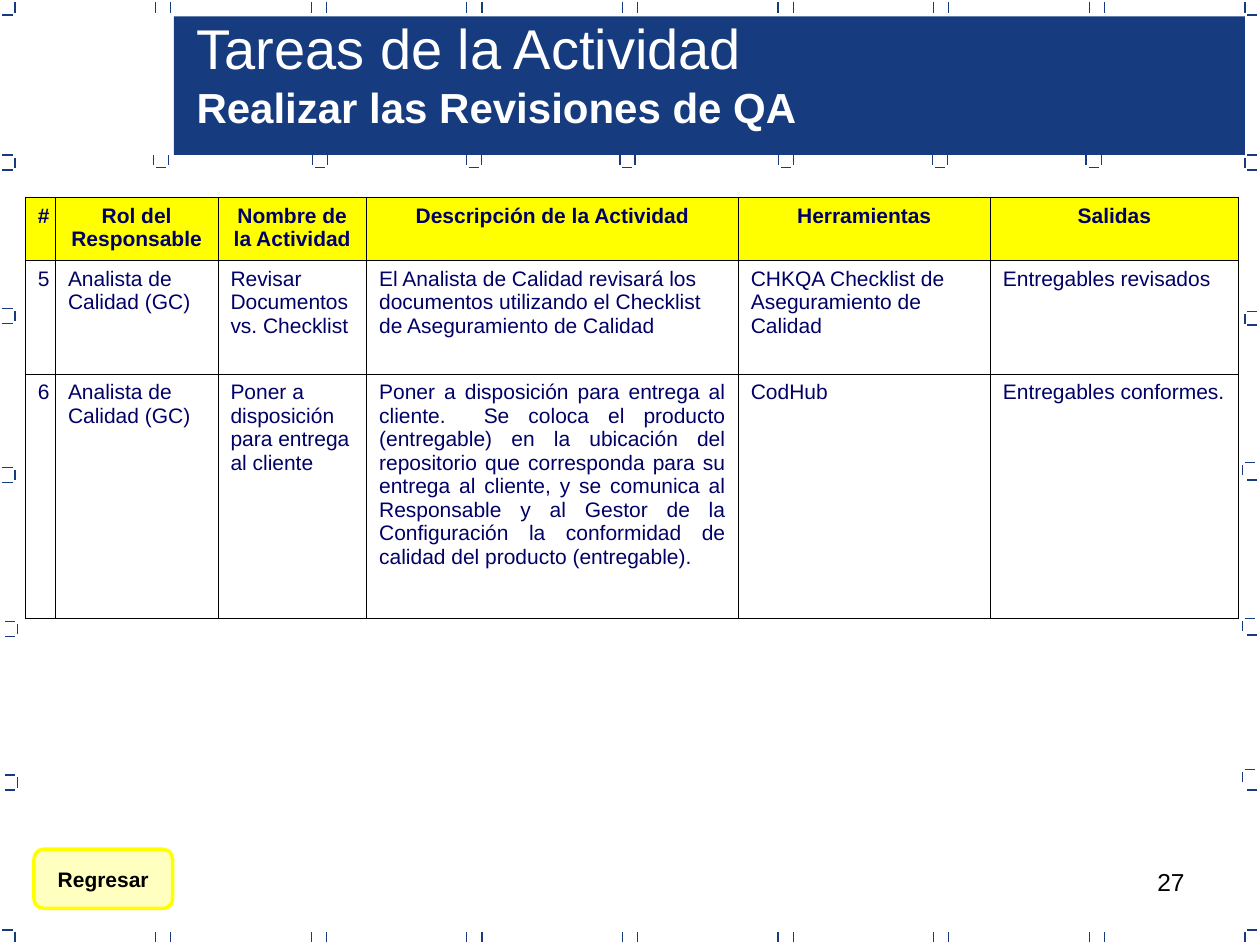
import pptx
import pptx.util
import pptx.dml.color
import pptx.enum.shapes
import pptx.enum.text
import pptx.oxml.ns
import pptx.oxml.xmlchemy

PX = 9144  # EMU per px, 100 px to the inch
FONT = "Arial"
COLORS = {"navy": "163B7F", "yellow": "FFFF00", "ink": "000066",
          "black": "000000", "white": "FFFFFF"}
ALIGN = pptx.enum.text.PP_ALIGN
SHAPE = pptx.enum.shapes.MSO_SHAPE

COLUMNS = [24, 129, 118, 295, 200, 197]
ROWS = [50, 90, 194]
TASKS = [
    ["#", "Rol del Responsable", "Nombre de la Actividad",
     "Descripción de la Actividad", "Herramientas", "Salidas"],
    ["5", "Analista de Calidad (GC)", "Revisar Documentos vs. Checklist",
     "El Analista de Calidad revisará los documentos utilizando el Checklist "
     "de Aseguramiento de Calidad",
     "CHKQA Checklist de Aseguramiento de Calidad", "Entregables revisados"],
    ["6", "Analista de Calidad (GC)", "Poner a disposición para entrega al cliente",
     "Poner a disposición para entrega al cliente.  Se coloca el producto "
     "(entregable) en la ubicación del repositorio que corresponda para su "
     "entrega al cliente, y se comunica al Responsable y al Gestor de la "
     "Configuración la conformidad de calidad del producto (entregable).",
     "CodHub", "Entregables conformes."],
]
SPACED_CELLS = {(1, 3), (1, 4), (1, 5), (2, 5)}  # 6 pt before and after


def px(n):
    return pptx.util.Emu(int(n * PX))


def rgb(name):
    return pptx.dml.color.RGBColor.from_string(COLORS[name])


def xml(tag, **attributes):
    element = pptx.oxml.xmlchemy.OxmlElement(tag)
    for name, value in attributes.items():
        element.set(name, value)
    return element


def format_text(p, size, color, bold=False, align=ALIGN.LEFT):
    p.alignment = align
    p.font.name = FONT
    p.font.size = pptx.util.Pt(size)
    p.font.bold = bold
    p.font.color.rgb = rgb(color)


def dash(s, x, y, dx, dy):
    line = s.shapes.add_connector(pptx.enum.shapes.MSO_CONNECTOR.STRAIGHT,
                                  px(x), px(y), px(x + dx), px(y + dy))
    line.line.color.rgb = rgb("navy")
    line.line.width = pptx.util.Pt(0.75)
    line._element.spPr.append(xml("a:effectLst"))


def across(s, x, y):
    dash(s, x, y, 8, 0)


def down(s, x, y):
    dash(s, x, y, 0, 8)


def add_frame(s, left, top, width, height):
    """Dashed cut marks round the edge of the box."""
    right, bottom = left + width, top + height
    # Corners
    for y_down, y_across in ((top + 2, top + 12), (bottom - 10, bottom - 12)):
        for x_down, x_across in ((left + 12, left + 2), (right - 12, right - 10)):
            down(s, x_down, y_down)
            across(s, x_across, y_across)
    # Pairs along the top and bottom
    for i in range(1, 8):
        for x in (left + 123.5 * i, left + 123.5 * i + 12):
            down(s, x, top + 2)
            down(s, x, bottom - 10)
    # Brackets down the left side
    for dx, dy in ((2, 123), (2, 245), (2, 371), (4, 493), (4, 615)):
        x, y = left + dx, top + dy
        across(s, x, y)
        down(s, x + 10, y + 2)
        across(s, x, y + 12)
    # Brackets down the right side, closed by evenly spaced dashes
    for i, (dx, dy) in enumerate(((12, 123), (12, 247), (14, 367), (14, 491), (14, 611))):
        x, y = right - dx, top + dy
        across(s, x + 2, y)
        down(s, x, y + 2)
        across(s, right - 10, top + 135 + 123 * i)


def add_banner(s, left, top, width, height):
    box = s.shapes.add_shape(SHAPE.RECTANGLE, px(left), px(top), px(width), px(height))
    box.shadow.inherit = False
    box.fill.solid()
    box.fill.fore_color.rgb = rgb("navy")
    box.line.fill.background()

    # Brackets hanging from the lower edge
    y = top + height
    for x in (-16, 110, 232, 354, 480, 602, 724):
        down(s, left + x, y)
        down(s, left + x + 12, y)
        across(s, left + x + 2, y + 10)

    # Title, brought in front of the banner
    title = s.shapes.title
    title.left, title.top = px(left + 8), px(top - 7)
    title.width, title.height = px(654), px(104)
    s.shapes._spTree.append(title._element)
    tf = title.text_frame
    tf.text = "Tareas de la Actividad\nRealizar las Revisiones de QA"
    tf.word_wrap = True
    tf.auto_size = pptx.enum.text.MSO_AUTO_SIZE.NONE
    tf.vertical_anchor = pptx.enum.text.MSO_ANCHOR.TOP
    format_text(tf.paragraphs[0], 32, "white")
    format_text(tf.paragraphs[1], 24, "white", bold=True)


def set_borders(cell):
    tc_pr = cell._tc.get_or_add_tcPr()
    for i, side in enumerate(("a:lnL", "a:lnR", "a:lnT", "a:lnB")):
        ln = xml(side, w=str(int(pptx.util.Pt(0.45))))
        fill = xml("a:solidFill")
        fill.append(xml("a:srgbClr", val=COLORS["black"]))
        ln.append(fill)
        tc_pr.insert(i, ln)


def add_tasks(s, left, top):
    table = s.shapes.add_table(len(ROWS), len(COLUMNS), px(left), px(top),
                               px(sum(COLUMNS)), px(sum(ROWS))).table
    table.first_row = table.horz_banding = False
    for column, width in zip(table.columns, COLUMNS):
        column.width = px(width)
    for r, (row, height) in enumerate(zip(table.rows, ROWS)):
        row.height = px(height)
        for c, cell in enumerate(row.cells):
            cell.text = TASKS[r][c]
            header = r == 0
            if header:
                cell.fill.solid()
                cell.fill.fore_color.rgb = rgb("yellow")
            else:
                cell.fill.background()
            set_borders(cell)
            align = ALIGN.CENTER if header or c == 0 else ALIGN.LEFT
            if (r, c) == (2, 3):
                align = ALIGN.JUSTIFY
            p = cell.text_frame.paragraphs[0]
            format_text(p, 12, "ink", header, align)
            spaced = (r, c) in SPACED_CELLS
            p.space_before = pptx.util.Pt(6 if spaced else 3)
            p.space_after = pptx.util.Pt(6 if spaced else 0)


def add_button(s, left, top, width, height):
    button = s.shapes.add_shape(SHAPE.FLOWCHART_ALTERNATE_PROCESS,
                                px(left), px(top), px(width), px(height))
    button.shadow.inherit = False
    button.fill.solid()
    button.fill.fore_color.rgb = rgb("yellow")
    fill = button._element.spPr.find(pptx.oxml.ns.qn("a:solidFill"))
    fill[0].append(xml("a:alpha", val="25000"))
    button.line.color.rgb = rgb("yellow")
    button.line.width = pptx.util.Pt(2)
    tf = button.text_frame
    tf.text = "Regresar"
    tf.word_wrap = False
    tf.vertical_anchor = pptx.enum.text.MSO_ANCHOR.MIDDLE
    format_text(tf.paragraphs[0], 12, "black", True, ALIGN.CENTER)


def add_page_number(s, left, top, width, height):
    tf = s.shapes.add_textbox(px(left), px(top), px(width), px(height)).text_frame
    tf.word_wrap = True
    tf.text = "27"
    format_text(tf.paragraphs[0], 14, "black", align=ALIGN.RIGHT)


def main():
    prs = pptx.Presentation()
    prs.slide_width, prs.slide_height = px(1000), px(750)
    s = prs.slides.add_slide(prs.slide_layouts[5])
    add_page_number(s, 717, 683, 233, 52)
    add_frame(s, 0, 0, 1000, 750)
    add_banner(s, 138, 13, 850, 110)
    add_tasks(s, 20, 157)
    add_button(s, 27, 674, 110, 47)
    prs.save("out.pptx")


if __name__ == "__main__":
    main()
